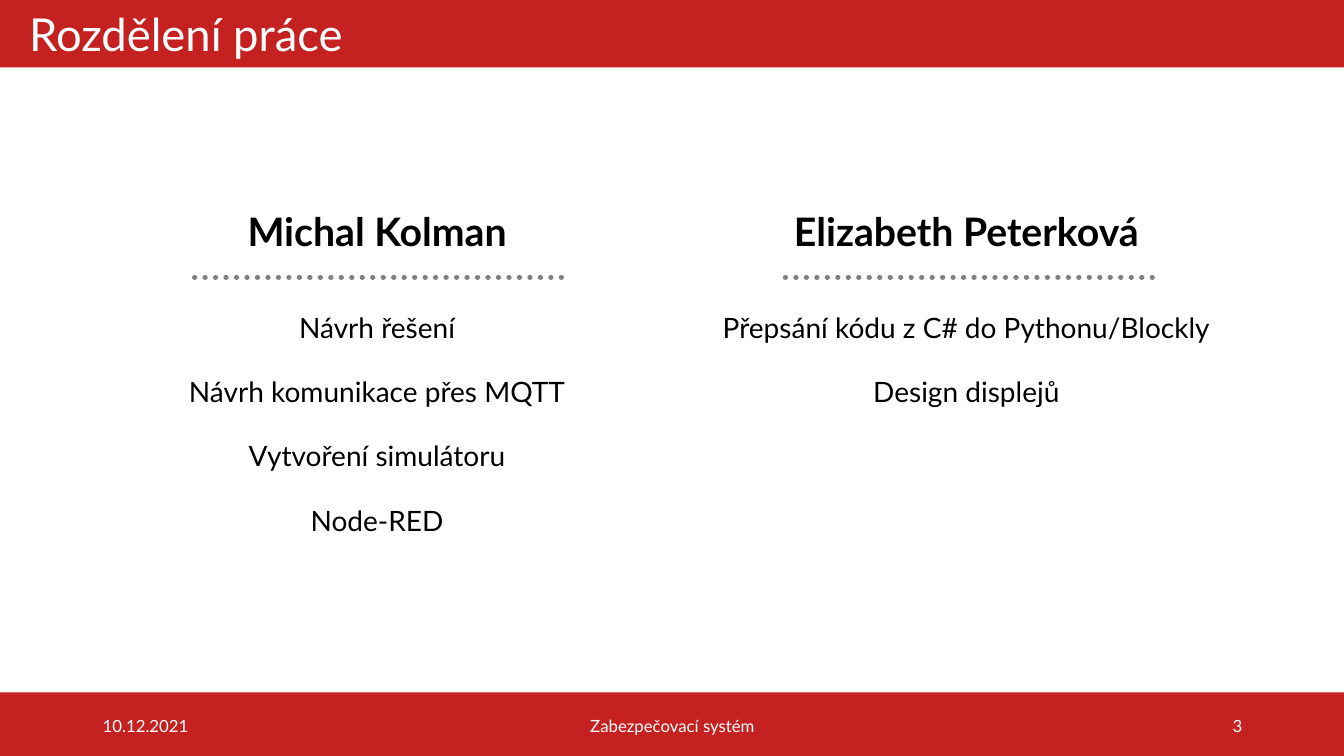
"""Build the slide on how the work is divided between two authors."""
from lxml import etree
from pptx import Presentation
from pptx.dml.color import RGBColor
from pptx.enum.dml import MSO_LINE
from pptx.enum.shapes import MSO_CONNECTOR, MSO_SHAPE
from pptx.enum.text import MSO_ANCHOR, PP_ALIGN
from pptx.oxml.ns import qn
from pptx.util import Pt

PX = 9144
FONT = "Lato"
COLORS = {"red": "C52121", "white": "FFFFFF", "black": "000000", "gray": "808080"}
LEFT, CENTER, RIGHT = PP_ALIGN.LEFT, PP_ALIGN.CENTER, PP_ALIGN.RIGHT
TOP, MIDDLE, BOTTOM = MSO_ANCHOR.TOP, MSO_ANCHOR.MIDDLE, MSO_ANCHOR.BOTTOM
RECT = MSO_SHAPE.RECTANGLE
STRAIGHT = MSO_CONNECTOR.STRAIGHT
DOTTED = MSO_LINE.ROUND_DOT
FOOT_Y, FOOT_H = 687, 66


def color(name):
    return RGBColor.from_string(COLORS[name])


def add_text(box, lines, size, ink, align=CENTER, anchor=TOP, spacing=1.0, bold=False):
    tf = s.shapes.add_textbox(*(v * PX for v in box)).text_frame
    tf.word_wrap = True
    tf.vertical_anchor = anchor
    for i, line in enumerate(lines):
        p = tf.add_paragraph() if i else tf.paragraphs[0]
        p.alignment = align
        p.line_spacing = spacing
        if i:
            p.space_before = Pt(10)
        r = p.add_run()
        r.text = line
        r.font.name = FONT
        r.font.size = Pt(size)
        r.font.bold = bold
        r.font.color.rgb = color(ink)


prs = Presentation()
prs.slide_width, prs.slide_height = 1333 * PX, 750 * PX
s = prs.slides.add_slide(prs.slide_layouts[6])

for y, h in [(0, 67), (FOOT_Y, FOOT_H)]:
    bar = s.shapes.add_shape(RECT, 0, y * PX, 1333 * PX, h * PX)
    bar.shadow.inherit = False
    bar.fill.solid()
    bar.fill.fore_color.rgb = color("red")
    bar.line.fill.background()

add_text((19, 8, 1165, 58), ["Rozdělení práce"], 32.4, "white", LEFT, MIDDLE, 0.9)

authors = [
    (92, 564, 193, "Michal Kolman",
     ["Návrh řešení", "Návrh komunikace přes MQTT", "Vytvoření simulátoru", "Node-RED"]),
    (675, 567, 779, "Elizabeth Peterková",
     ["Přepsání kódu z C# do Pythonu/Blockly", "Design displejů"]),
]
for x, w, line_x, name, tasks in authors:
    add_text((x, 195, w, 63), [name], 28, "black", anchor=BOTTOM, spacing=0.9, bold=True)
    add_text((x, 286, w, 391), tasks, 20, "black", spacing=1.5)
    rule = s.shapes.add_connector(STRAIGHT, line_x * PX, 275 * PX, (line_x + 364) * PX, 275 * PX)
    rule.line.color.rgb = color("gray")
    rule.line.width = Pt(3.75)
    rule.line.dash_style = DOTTED
    sp_pr = rule._element.spPr
    sp_pr.find(qn("a:ln")).set("cap", "rnd")
    etree.SubElement(sp_pr, qn("a:effectLst"))

for x, w, text, align in [
    (92, 300, "10.12.2021", LEFT),
    (442, 450, "Zabezpečovací systém", CENTER),
    (942, 300, "3", RIGHT),
]:
    add_text((x, FOOT_Y, w, FOOT_H), [text], 12, "white", align, MIDDLE)

prs.save("out.pptx")
